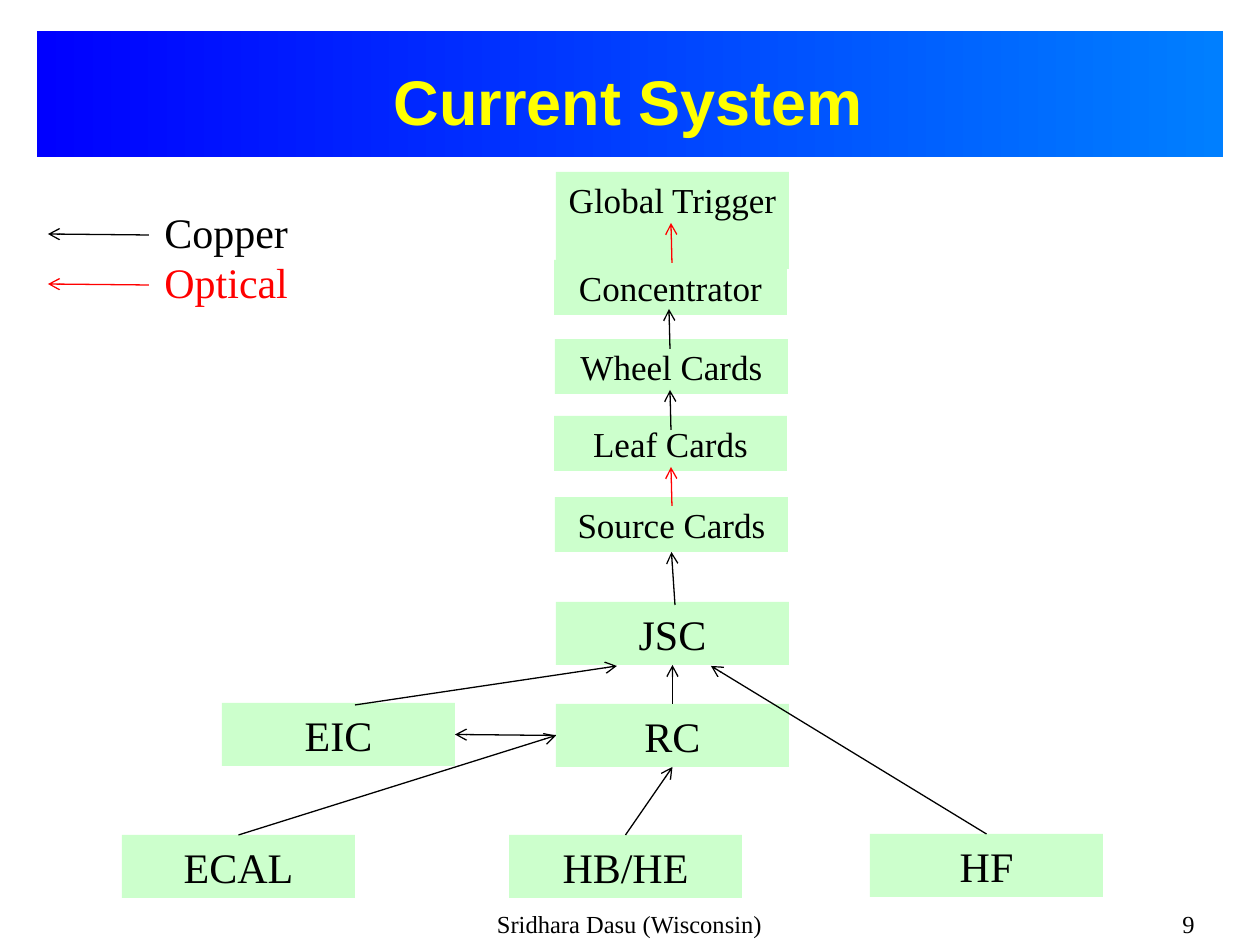
import pptx
import pptx.dml.color
import pptx.enum.shapes
import pptx.enum.text
import pptx.oxml
import pptx.oxml.ns
import pptx.util

PX = 914400 / 126
ALIGN = pptx.enum.text.PP_ALIGN
ANCHOR = pptx.enum.text.MSO_ANCHOR
RGB = pptx.dml.color.RGBColor.from_string

THEME = {
    "title_font": "Arial", "body_font": "Times New Roman",
    "title": RGB("FFFF00"), "copper": RGB("000000"), "optical": RGB("FF0000"),
    "box": RGB("CCFFCC"), "banner": (RGB("0000FF"), RGB("007FFF")),
    "title_size": 36, "large": 24, "medium": 20, "footer": 14, "line": 0.75,
}


def emu(*pixels):
    return [round(value * PX) for value in pixels]


def write(shape, text, size, color="copper", align=ALIGN.CENTER,
          anchor=ANCHOR.TOP, font="body_font", bold=False):
    frame = shape.text_frame
    frame.word_wrap = True
    frame.vertical_anchor = anchor
    paragraph = frame.paragraphs[0]
    paragraph.text = text
    paragraph.alignment = align
    formats = {"name": THEME[font], "size": pptx.util.Pt(THEME[size]), "bold": bold}
    for name, value in formats.items():
        setattr(paragraph.font, name, value)
    paragraph.font.color.rgb = THEME[color]


presentation = pptx.Presentation()
presentation.slide_width, presentation.slide_height = emu(1260, 945)
slide = presentation.slides.add_slide(presentation.slide_layouts[6])
shapes = slide.shapes
RECTANGLE = pptx.enum.shapes.MSO_SHAPE.RECTANGLE

# Title banner
banner = shapes.add_shape(RECTANGLE, *emu(37, 31, 1186, 126))
banner.shadow.inherit = False
banner.line.fill.background()
banner.fill.gradient()
banner.fill.gradient_angle = 0
for stop, color, position in zip(banner.fill.gradient_stops, THEME["banner"], (0, 1)):
    stop.color.rgb = color
    stop.position = position
title = shapes.add_textbox(*emu(163, 53, 931, 95))
write(title, "Current System", "title_size", "title",
      anchor=ANCHOR.MIDDLE, font="title_font", bold=True)

# Footer
for text, left, width, align in (
    ("Sridhara Dasu (Wisconsin)", 341, 577, ALIGN.CENTER),
    ("9", 945, 262, ALIGN.RIGHT),
):
    write(shapes.add_textbox(*emu(left, 903, width, 42)), text, "footer", align=align)

# Trigger components: name, left, top, height, text size
BOX_WIDTH = 233
boxes = {}
for name, left, top, height, size in (
    ("ECAL", 122, 835, 63, "large"),
    ("HB/HE", 509, 835, 63, "large"),
    ("HF", 870, 834, 63, "large"),
    ("EIC", 222, 703, 63, "large"),
    ("JSC", 556, 602, 63, "large"),
    ("Source Cards", 555, 497, 55, "medium"),
    ("RC", 556, 704, 63, "large"),
    ("Leaf Cards", 554, 416, 55, "medium"),
    ("Wheel Cards", 555, 339, 55, "medium"),
    ("Concentrator", 554, 260, 55, "medium"),
    ("Global Trigger", 556, 172, 97, "medium"),
):
    box = shapes.add_shape(RECTANGLE, *emu(left, top, BOX_WIDTH, height))
    box.shadow.inherit = False
    box.fill.solid()
    box.fill.fore_color.rgb = THEME["box"]
    box.line.fill.background()
    write(box, name, size)
    boxes[name] = box

# Links: each end is a point, or a box name with its connection site
TOP, LEFT, BOTTOM, RIGHT = range(4)
links = [
    (("ECAL", TOP), ("RC", LEFT), "copper"),
    (("HB/HE", TOP), ("RC", BOTTOM), "copper"),
    (("HF", TOP), (711, 666), "copper"),
    ((675, 605), ("Source Cards", BOTTOM), "copper"),
    ((672, 506), (671, 467), "optical"),
    ((671, 430), (670, 390), "copper"),
    ((670, 349), (669, 309), "copper"),
    (("RC", LEFT), ("EIC", RIGHT), "copper"),
    ((355, 705), (617, 666), "copper"),
    (("RC", TOP), ("JSC", BOTTOM), "copper"),
    ((672, 263), (671, 223), "optical"),
]

# Legend
for text, color, top in (("Copper", "copper", 200), ("Optical", "optical", 250)):
    label = shapes.add_textbox(*emu(152, top, 164, 63))
    write(label, text, "large", color, ALIGN.LEFT)
    links.append(((149, top + 35), (48, top + 34), color))

for start, end, color in links:
    points = [(0, 0) if point[0] in boxes else point for point in (start, end)]
    link = shapes.add_connector(pptx.enum.shapes.MSO_CONNECTOR.STRAIGHT,
                                *emu(*points[0], *points[1]))
    for connect, point in ((link.begin_connect, start), (link.end_connect, end)):
        if point[0] in boxes:
            connect(boxes[point[0]], point[1])
    link.line.color.rgb = THEME[color]
    link.line.width = pptx.util.Pt(THEME["line"])
    namespace = pptx.oxml.ns.nsdecls("a")
    link.line._get_or_add_ln().append(
        pptx.oxml.parse_xml(f'<a:tailEnd {namespace} type="arrow"/>'))
    link._element.spPr.append(pptx.oxml.parse_xml(f"<a:effectLst {namespace}/>"))

presentation.save("out.pptx")
